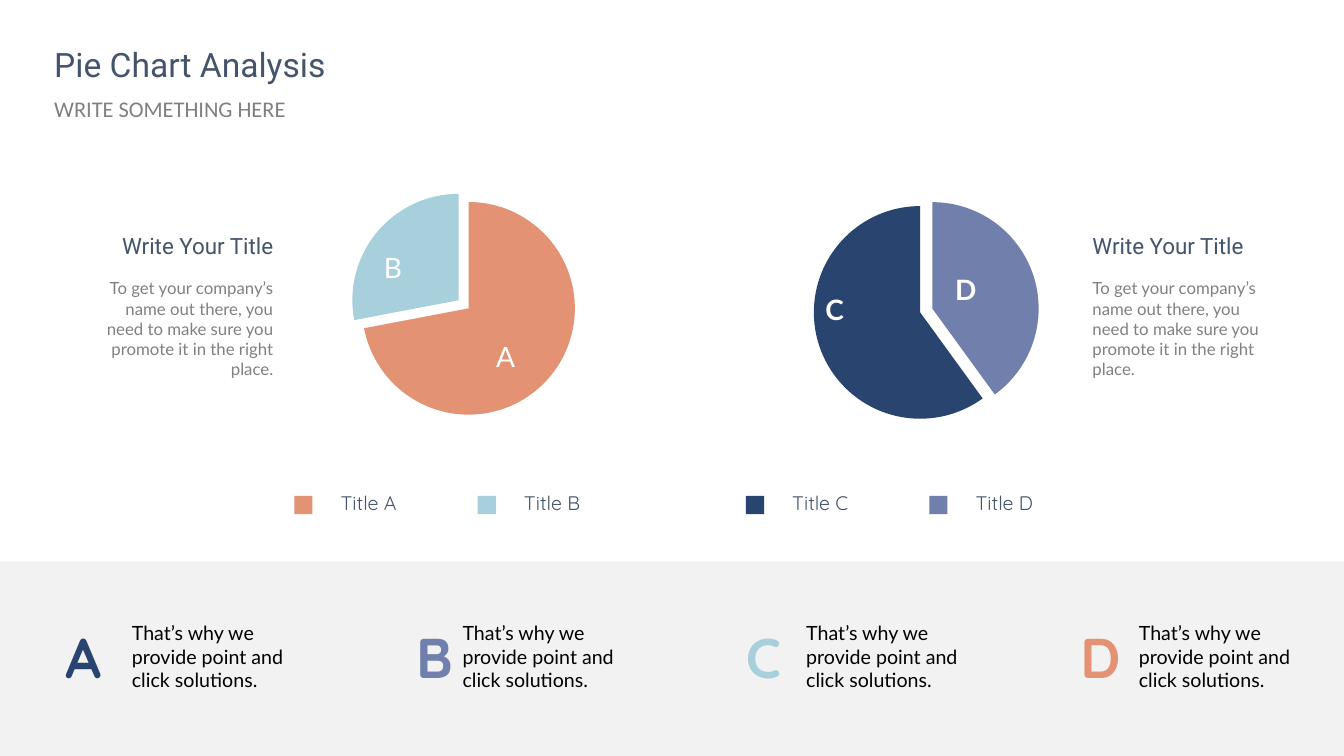
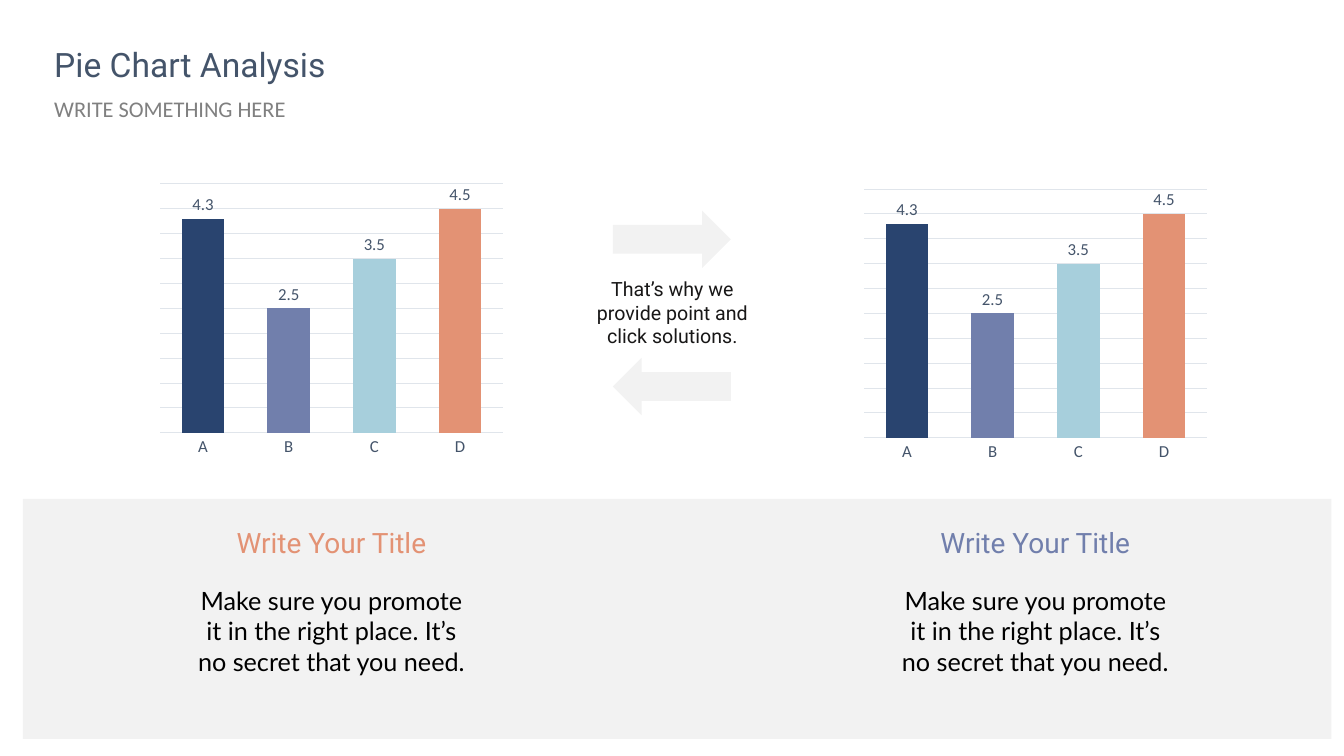
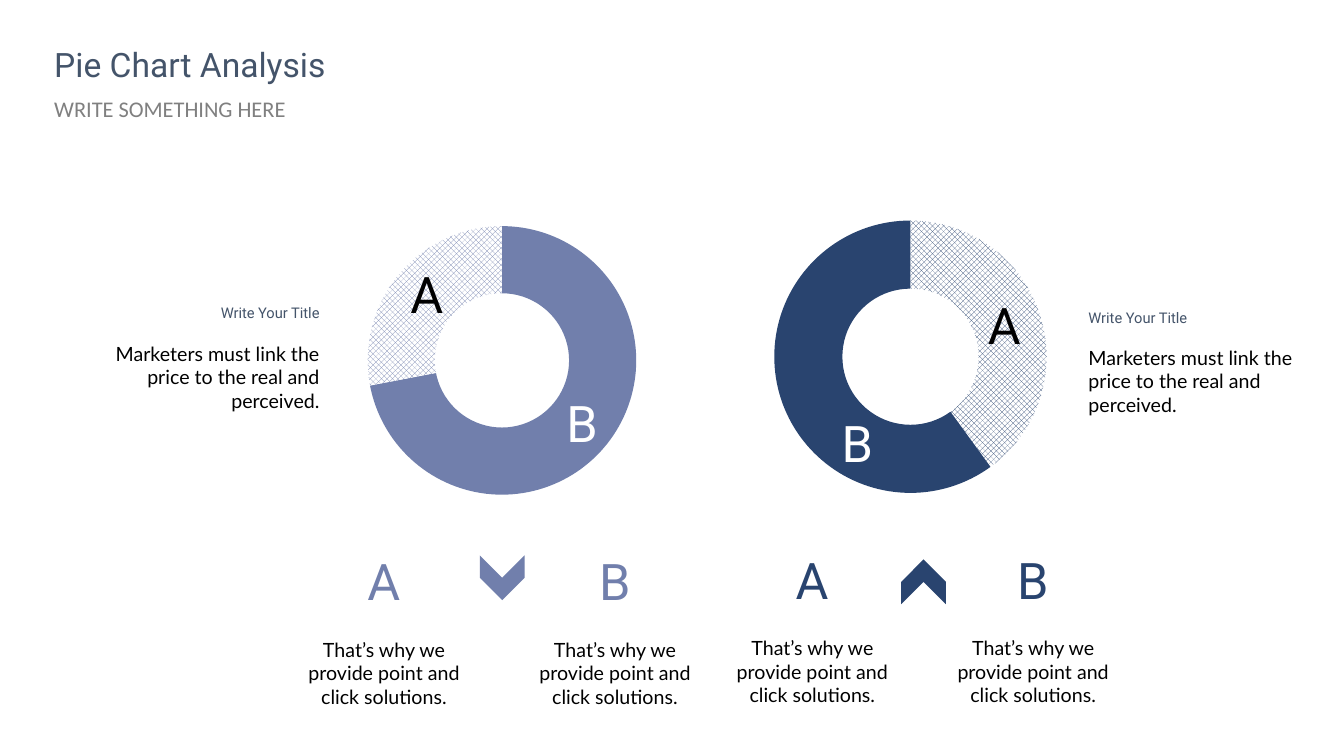
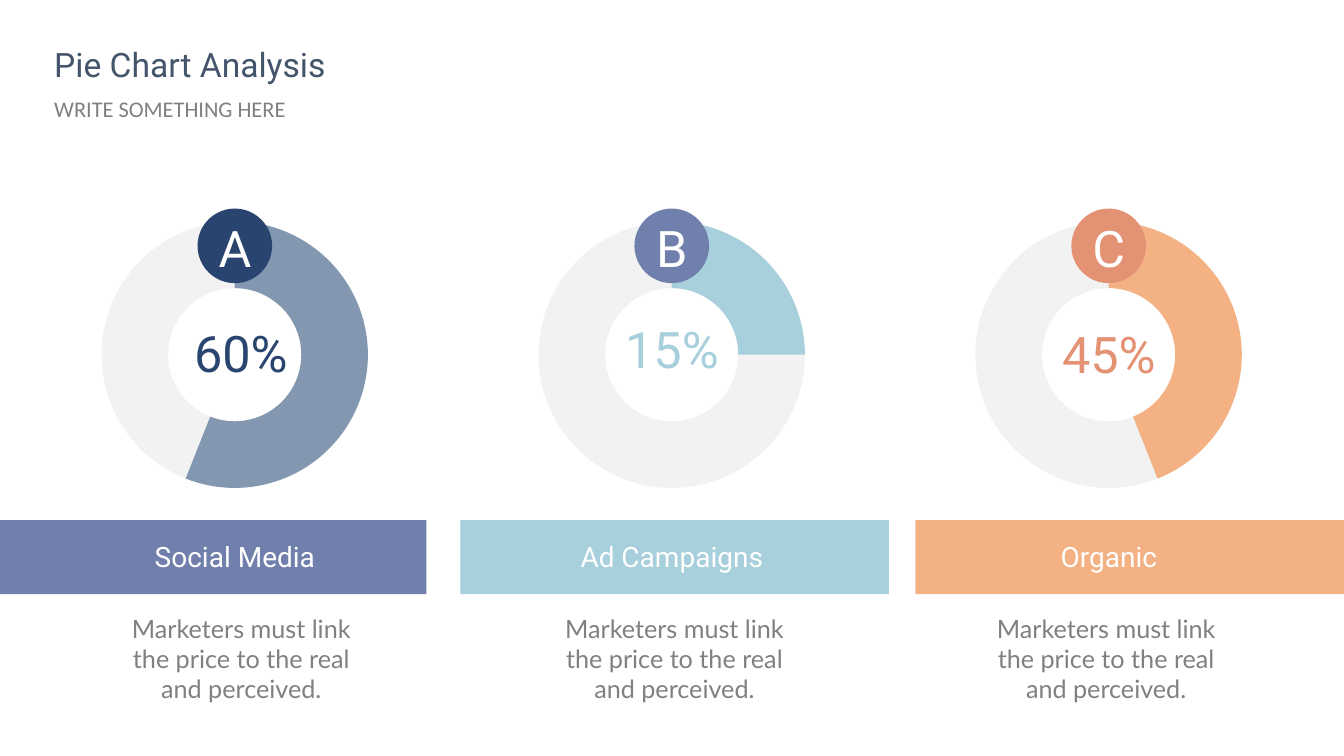
from collections import namedtuple
from dataclasses import dataclass

from lxml import etree
from pptx import Presentation
from pptx import util as u
from pptx.chart.data import CategoryChartData
from pptx.dml.color import RGBColor
from pptx.enum import chart as charts
from pptx.enum import dml, shapes, text
from pptx.oxml.ns import qn

Paint = namedtuple("Paint", "colour opacity pattern", defaults=(100, False))
LEFT, CENTER, RIGHT = text.PP_ALIGN.LEFT, text.PP_ALIGN.CENTER, text.PP_ALIGN.RIGHT
KIND = shapes.MSO_SHAPE


class Box(namedtuple("Box", "left top width height")):
    def inner(self, dx, dy, width, height):
        return Box(self.left + dx, self.top + dy, width, height)

    def points(self):
        return [u.Pt(round(side, 2)) for side in self]


@dataclass(frozen=True)
class Theme:
    navy: str = "29446F"
    violet: str = "717FAC"
    sky: str = "A7CFDC"
    coral: str = "E39274"
    peach: str = "F4B183"
    steel: str = "8497B0"
    slate: str = "44546A"
    grey: str = "808080"
    ink: str = "181717"
    black: str = "000000"
    white: str = "FFFFFF"
    mist: str = "F2F2F2"
    grid: str = "E0E5EB"
    veil: Paint = Paint("808080", 10)
    head: str = "Roboto"
    body: str = "Lato"
    label: str = "Quicksand"
    plain: str = "Calibri"
    tiny: float = 10.5
    small: int = 12
    normal: int = 14
    medium: int = 16
    large: int = 18
    heading: int = 20
    title: int = 24
    letter: int = 36
    initial: int = 40


theme = Theme()
SOLUTIONS = "That’s why we provide point and click solutions."
PERCEIVED = "Marketers must link the price to the real and perceived."
PROMOTE = "To get your company’s name out there, you need to make sure you promote it in the right place."
SECRET = "Make sure you promote it in the right place. It’s no secret that you need."
HEADING = "Write Your Title"


def paint(fill, tone):
    tone = Paint(tone) if isinstance(tone, str) else tone
    if tone.pattern:
        fill.patterned()
        fill.pattern = dml.MSO_PATTERN.SOLID_DIAMOND
        fill.fore_color.rgb = RGBColor.from_string(tone.colour)
        fill.back_color.rgb = RGBColor.from_string(theme.white)
        return
    fill.solid()
    fill.fore_color.rgb = RGBColor.from_string(tone.colour)
    if tone.opacity < 100:
        colour = fill._xPr.find(qn("a:solidFill") + "/" + qn("a:srgbClr"))
        etree.SubElement(colour, qn("a:alpha"), val=str(tone.opacity * 1000))


def style(font, face, size, colour, bold=False):
    font.name = face
    font.size = u.Pt(size)
    font.bold = bold
    font.color.rgb = RGBColor.from_string(colour)


def write(page, box, words, face, size, colour, align=LEFT, bold=False):
    frame = page.shapes.add_textbox(*box.points()).text_frame
    frame.word_wrap = True
    frame.text = words
    para = frame.paragraphs[0]
    para.alignment = align
    for span in para.runs:
        style(span.font, face, size, colour, bold)


def draw(page, kind, box, tone, turn=0):
    shape = page.shapes.add_shape(kind, *box.points())
    shape.shadow.inherit = False
    shape.rotation = turn
    shape.line.fill.background()
    paint(shape.fill, tone)


def add_chart(page, box, kind, categories, values, tones):
    data = CategoryChartData()
    data.categories = categories
    data.add_series("Series 1", values)
    chart = page.shapes.add_chart(kind, *box.points(), data).chart
    chart.has_legend = False
    chart.has_title = False
    style(chart.font, theme.plain, 10, theme.black)
    plot = chart.plots[0]
    plot.vary_by_categories = False
    for index, tone in enumerate(tones):
        form = plot.series[0].points[index].format
        paint(form.fill, tone)
        form.line.fill.background()
    return chart


def pie(page, box, values, tones, exploded, letters, bold):
    chart = add_chart(page, box, charts.XL_CHART_TYPE.PIE, ["1", "2"], values, tones)
    point = chart.plots[0].series[0]._element.findall(qn("c:dPt"))[exploded]
    explosion = etree.Element(qn("c:explosion"), val="12")
    point.find(qn("c:spPr")).addprevious(explosion)
    for letter, dx, dy in letters:
        write(page, box.inner(dx, dy, 40, 32), letter, theme.body, theme.heading,
              theme.white, CENTER, bold)


def doughnut(page, box, values, tones, hole, layout=None):
    chart = add_chart(page, box, charts.XL_CHART_TYPE.DOUGHNUT, ["1", "2"], values, tones)
    area = chart._chartSpace.find(".//" + qn("c:plotArea"))
    area.find(".//" + qn("c:holeSize")).set("val", str(hole))
    if layout:
        for old in area.findall(qn("c:layout")):
            area.remove(old)
        holder = etree.Element(qn("c:layout"))
        area.insert(0, holder)
        manual = etree.SubElement(holder, qn("c:manualLayout"))
        entries = [("layoutTarget", "inner"), ("xMode", "edge"), ("yMode", "edge")]
        for name, value in entries + list(zip("xywh", layout)):
            etree.SubElement(manual, qn("c:" + name), val=str(value))


def columns(page, box):
    chart = add_chart(page, box, charts.XL_CHART_TYPE.COLUMN_CLUSTERED, list("ABCD"),
                      [4.3, 2.5, 3.5, 4.5],
                      [theme.navy, theme.violet, theme.sky, theme.coral])
    plot = chart.plots[0]
    plot.gap_width = 100
    plot.overlap = -24
    plot.has_data_labels = True
    labels = plot.data_labels
    labels.show_value = True
    labels.position = charts.XL_LABEL_POSITION.OUTSIDE_END
    style(labels.font, theme.plain, theme.small, theme.slate)
    bottom, side = chart.category_axis, chart.value_axis
    bottom.major_tick_mark = charts.XL_TICK_MARK.NONE
    style(bottom.tick_labels.font, theme.plain, theme.small, theme.slate)
    side.minimum_scale, side.maximum_scale, side.major_unit = 0, 5, 0.5
    side.has_major_gridlines = True
    side.visible = False
    for line in (bottom.format.line, side.major_gridlines.format.line):
        line.color.rgb = RGBColor.from_string(theme.grid)
        line.width = u.Pt(0.75)


def caption(page, box, words, align, head_size, head_colour, size, colour, drop):
    write(page, box.inner(0, 0, box.width, 27), HEADING, theme.head, head_size,
          head_colour, align)
    write(page, box.inner(0, drop, box.width, box.height - drop), words, theme.body,
          size, colour, align)


def legend(page, box, entries):
    pitch = box.width / len(entries)
    for index, (name, tone) in enumerate(entries):
        left = index * pitch
        draw(page, KIND.RECTANGLE, box.inner(left, 7.2, 13, 13), tone)
        write(page, box.inner(left + 26, 0, 93, 24.5), name, theme.label,
              theme.normal, theme.slate)


def initials(page, box):
    draw(page, KIND.RECTANGLE, box, theme.mist)
    entries = [("A", theme.navy, 39.6, 87.1), ("B", theme.violet, 290.2, 323.3),
               ("C", theme.sky, 525.6, 568.8), ("D", theme.coral, 764.6, 806.4)]
    for letter, colour, letter_left, words_left in entries:
        write(page, box.inner(letter_left, 40.4, 46, 55), letter, theme.label,
              theme.initial, colour, bold=True)
        write(page, box.inner(words_left, 39, 133.2, 58), SOLUTIONS, theme.body,
              theme.normal, theme.black)


def comparison(page, box, colour, pitch, turn, chevron_dx, chevron_dy):
    for index, letter in enumerate("AB"):
        left = index * pitch
        write(page, box.inner(left + 30.4, 0, 64, 51), letter, theme.head, theme.letter,
              colour, CENTER)
        write(page, box.inner(left, 62.3, 125.3, 58), SOLUTIONS, theme.body,
              theme.normal, theme.black, CENTER)
    draw(page, KIND.CHEVRON, box.inner(chevron_dx, chevron_dy, 32, 32), colour, turn)


def channel(page, box, letter, name, share, values, ring, badge, colour, bar, offsets):
    bar_dx, share_dx, share_dy, words_dx = offsets
    draw(page, KIND.RECTANGLE, box.inner(bar_dx, 223.2, 306, 52.8), bar)
    doughnut(page, box.inner(0, 0, 224.6, 210.2), values, [ring, theme.veil], 55)
    write(page, box.inner(share_dx, share_dy, 108, 51), share, theme.head, theme.letter,
          colour, CENTER)
    write(page, box.inner(23.1, 233.3, 178.6, 32), name, theme.head, theme.heading,
          theme.white, CENTER)
    write(page, box.inner(words_dx, 285.9, 199.4, 73), PERCEIVED, theme.body,
          theme.large, theme.grey, CENTER)
    draw(page, KIND.OVAL, box.inner(85.7, 0.7, 53.3, 53.3), badge)
    write(page, box.inner(91.5, 2.9, 41.8, 51), letter, theme.head, theme.letter,
          theme.white, CENTER)


def new_page(deck):
    page = deck.slides.add_slide(deck.slide_layouts[6])
    write(page, Box(31.7, 28.1, 233.3, 36), "Pie Chart Analysis", theme.head,
          theme.title, theme.slate)
    write(page, Box(31.7, 64.1, 210, 26.6), "WRITE SOMETHING HERE", theme.plain,
          theme.medium, theme.grey)
    return page


def pies_page(deck):
    page = new_page(deck)
    initials(page, Box(0, 401, 960, 139))
    pie(page, Box(192.2, 125.3, 285, 190), [72, 28], [theme.coral, theme.sky], 1,
        [("A", 149, 113.7), ("B", 68.4, 50.4)], False)
    pie(page, Box(514.8, 128.2, 285, 190), [40, 60], [theme.violet, theme.navy], 0,
        [("D", 155, 62.6), ("C", 61.4, 77)], True)
    legend(page, Box(210.2, 347, 262, 25),
           [("Title A", theme.coral), ("Title B", theme.sky)])
    legend(page, Box(532.8, 347, 262, 25),
           [("Title C", theme.navy), ("Title D", theme.violet)])
    for left, align in ((65.5, RIGHT), (773.3, LEFT)):
        caption(page, Box(left, 162, 136.8, 113), PROMOTE, align, theme.medium,
                theme.slate, theme.small, theme.grey, 33.1)


def columns_page(deck):
    page = new_page(deck)
    draw(page, KIND.RECTANGLE, Box(16.4, 356.4, 934.6, 171.4), theme.veil)
    write(page, Box(405.4, 194.4, 149.8, 58), SOLUTIONS, theme.head, theme.normal,
          theme.ink, CENTER)
    for top, turn in ((150.5, 0), (255.6, 180)):
        draw(page, KIND.RIGHT_ARROW, Box(437.8, top, 84.2, 41), theme.veil, turn)
    for left, top, colour in ((109.4, 127.4, theme.coral), (612.2, 131, theme.violet)):
        columns(page, Box(left, top, 254.9, 203))
        caption(page, Box(left + 22.6, 371.5, 209.5, 116), SECRET, CENTER,
                theme.heading, colour, theme.large, theme.black, 43.2)


def rings_page(deck):
    page = new_page(deck)
    left_ring = Box(252.7, 139, 211.7, 236.9)
    right_ring = Box(517.7, 89.3, 252.7, 283)
    doughnut(page, left_ring, [72, 28], [theme.violet, Paint(theme.violet, pattern=True)], 50)
    doughnut(page, right_ring, [40, 60], [Paint(theme.navy, pattern=True), theme.navy], 50,
             (0.14, 0.24, 0.77, 0.69))
    marks = [(left_ring, "B", 131.1, 137.5, theme.white),
             (left_ring, "A", 20.2, 45.3, theme.black),
             (right_ring, "A", 167.7, 117.3, theme.black),
             (right_ring, "B", 62.6, 201.6, theme.white)]
    for ring, letter, dx, dy, colour in marks:
        write(page, ring.inner(dx, dy, 64, 51), letter, theme.head, theme.letter,
              colour, CENTER)
    for left, top, align in ((66.2, 213.8, RIGHT), (770.4, 216.7, LEFT)):
        caption(page, Box(left, top, 169.2, 85), PERCEIVED, align, theme.tiny,
                theme.slate, theme.normal, theme.black, 26.7)
    comparison(page, Box(211.7, 389.5, 290, 121), theme.violet, 165, 90, 131, 7.2)
    comparison(page, Box(517.7, 388.6, 283, 121), theme.navy, 157.7, 270, 126, 11)


def channels_page(deck):
    page = new_page(deck)
    entries = [
        ("A", "Social Media", "60%", [56, 44], theme.steel, theme.navy, theme.navy,
         theme.violet, (-56.8, 62.7, 78.5, 17.3)),
        ("B", "Ad Campaigns", "15%", [25, 75], theme.sky, theme.violet, theme.sky,
         theme.sky, (-38.6, 58.5, 75.6, 14.6)),
        ("C", "Organic", "45%", [44, 56], theme.peach, theme.coral, theme.coral,
         theme.peach, (-25.7, 58.5, 79.2, 10.9)),
    ]
    for index, entry in enumerate(entries):
        channel(page, Box(55.4 + index * 312.1, 148.3, 224.6, 359), *entry)


def main():
    deck = Presentation()
    deck.slide_width, deck.slide_height = u.Pt(960), u.Pt(540)
    for build in (pies_page, columns_page, rings_page, channels_page):
        build(deck)
    deck.save("out.pptx")


if __name__ == "__main__":
    main()
